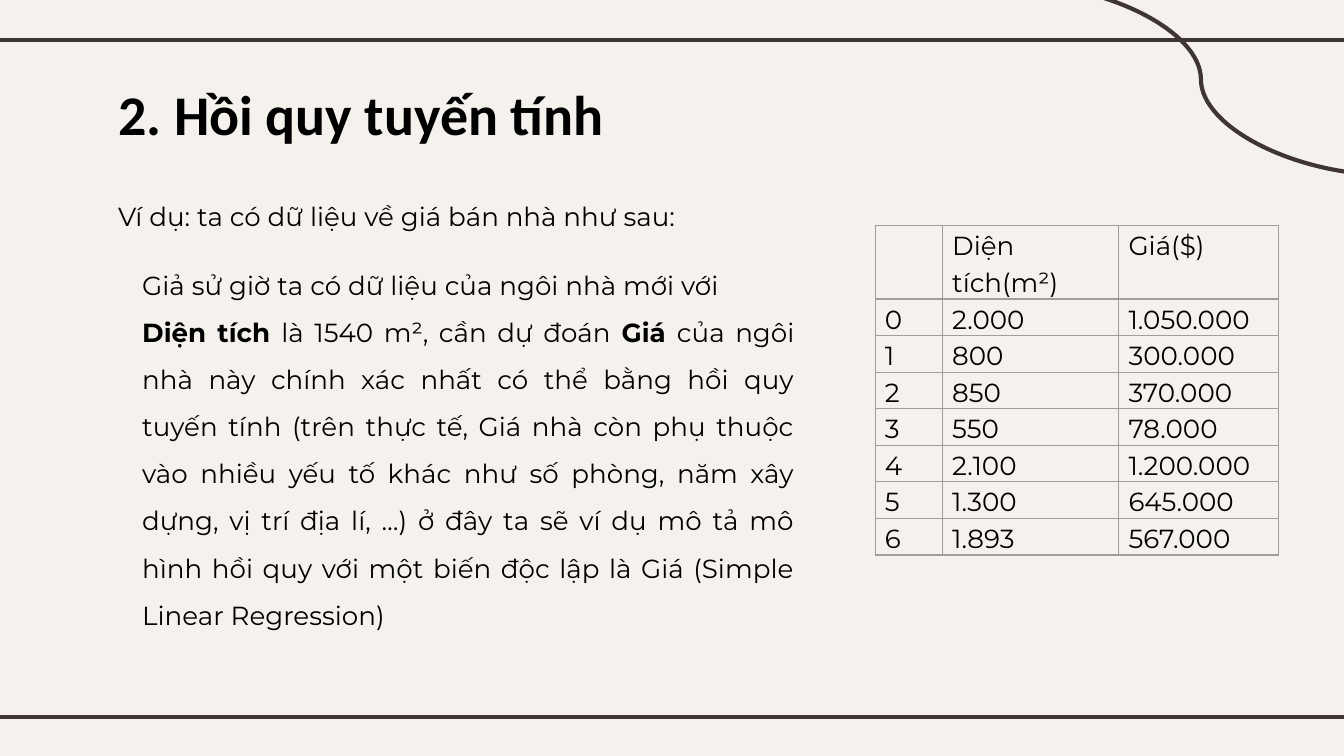
from dataclasses import dataclass
from typing import NamedTuple

from lxml.etree import SubElement
from pptx import Presentation
from pptx.dml.color import RGBColor
from pptx.enum.shapes import MSO_CONNECTOR
from pptx.enum.text import MSO_ANCHOR, PP_ALIGN
from pptx.oxml.ns import qn
from pptx.slide import Slide
from pptx.table import _Cell
from pptx.text.text import TextFrame
from pptx.util import Pt


@dataclass(frozen=True)
class Theme:
    background: str = "F5F2EE"
    ornament: str = "3F3533"
    border: str = "9E9E9E"
    text: str = "000000"
    title_font: str = "Calibri"
    body_font: str = "Montserrat"
    title_size: float = 30
    body_size: float = 14
    ornament_width: float = 2.25
    border_width: float = 0.75


class Run(NamedTuple):
    text: str
    bold: bool = False


class Box(NamedTuple):
    left: float
    top: float
    width: float
    height: float


class Ornament(NamedTuple):
    kind: MSO_CONNECTOR
    start: tuple[float, float]
    end: tuple[float, float]


THEME = Theme()
SLIDE_WIDTH, SLIDE_HEIGHT = 720, 405
ORNAMENTS = [
    Ornament(MSO_CONNECTOR.STRAIGHT, (-6, 21.4), (726, 21.4)),
    Ornament(MSO_CONNECTOR.STRAIGHT, (-6, 384), (726, 384)),
    Ornament(MSO_CONNECTOR.CURVE, (542.2, -8.8), (744.5, 93.8)),
]
TITLE_BOX = Box(56.2, 35.3, 370.8, 45.4)
INTRO_BOX = Box(56.2, 100.1, 607.7, 259.2)
EXAMPLE_BOX = Box(69.1, 128.9, 363.6, 211)
EXAMPLE = [
    [Run("Giả sử giờ ta có dữ liệu của ngôi nhà mới với ")],
    [
        Run("Diện tích ", True),
        Run("là 1540 m², cần dự đoán "),
        Run("Giá ", True),
        Run(
            "của ngôi nhà này chính xác nhất có thể bằng hồi quy tuyến tính "
            "(trên thực tế, Giá nhà còn phụ thuộc vào nhiều yếu tố khác như số phòng, "
            "năm xây dựng, vị trí địa lí, …) ở đây ta sẽ ví dụ mô tả mô hình hồi quy "
            "với một biến độc lập là Giá (Simple Linear Regression)"
        ),
    ],
]

TABLE_LEFT, TABLE_TOP = 468.9, 121
COLUMN_WIDTHS = [36, 94.5, 85.5]
HEADER_HEIGHT, ROW_HEIGHT = 39.2, 19.6
HEADER = ["", "Diện tích(m²)", "Giá($)"]
HOUSES = [
    ("2.000", "1.050.000"),
    ("800", "300.000"),
    ("850", "370.000"),
    ("550", "78.000"),
    ("2.100", "1.200.000"),
    ("1.300", "645.000"),
    ("1.893", "567.000"),
]


def write_text(
    frame: TextFrame,
    paragraphs: list[list[Run]],
    *,
    font: str = THEME.body_font,
    size: float = THEME.body_size,
    alignment: PP_ALIGN = PP_ALIGN.LEFT,
    line_spacing: float = 1.0,
) -> None:
    for index, runs in enumerate(paragraphs):
        paragraph = frame.add_paragraph() if index else frame.paragraphs[0]
        paragraph.alignment = alignment
        paragraph.line_spacing = line_spacing
        paragraph.font.size = Pt(size)
        for text, bold in runs:
            run = paragraph.add_run()
            run.text = text
            run.font.name = font
            run.font.size = Pt(size)
            run.font.bold = bold
            run.font.color.rgb = RGBColor.from_string(THEME.text)


def add_text_box(slide: Slide, box: Box, paragraphs: list[list[Run]], **text_format) -> None:
    frame = slide.shapes.add_textbox(*map(Pt, box)).text_frame
    frame.word_wrap = True
    frame.vertical_anchor = MSO_ANCHOR.TOP
    frame.margin_left = frame.margin_right = Pt(7.2)
    frame.margin_top = frame.margin_bottom = Pt(7.2)
    write_text(frame, paragraphs, **text_format)


def add_ornament(slide: Slide, ornament: Ornament) -> None:
    connector = slide.shapes.add_connector(
        ornament.kind, *map(Pt, ornament.start + ornament.end)
    )
    connector.line.color.rgb = RGBColor.from_string(THEME.ornament)
    connector.line.width = Pt(THEME.ornament_width)
    SubElement(connector._element.spPr, qn("a:effectLst"))


def format_cell(cell: _Cell) -> None:
    """Give the cell thin borders on all sides, tight margins and no fill."""
    cell.margin_left = cell.margin_right = Pt(5.2)
    cell.margin_top = cell.margin_bottom = 0
    cell.vertical_anchor = MSO_ANCHOR.TOP
    properties = cell._tc.get_or_add_tcPr()
    for side in ("lnL", "lnR", "lnT", "lnB"):
        border = SubElement(properties, qn(f"a:{side}"), w=str(Pt(THEME.border_width)))
        fill = SubElement(border, qn("a:solidFill"))
        SubElement(fill, qn("a:srgbClr"), val=THEME.border)
    cell.fill.background()


def add_house_table(slide: Slide) -> None:
    rows = [HEADER] + [[str(index), *house] for index, house in enumerate(HOUSES)]
    heights = [HEADER_HEIGHT] + [ROW_HEIGHT] * len(HOUSES)
    box = Box(TABLE_LEFT, TABLE_TOP, sum(COLUMN_WIDTHS), sum(heights))
    table = slide.shapes.add_table(len(rows), len(HEADER), *map(Pt, box)).table
    table.first_row = table.horz_banding = False
    for column, width in zip(table.columns, COLUMN_WIDTHS):
        column.width = Pt(width)
    for row, height, texts in zip(table.rows, heights, rows):
        row.height = Pt(height)
        for cell, text in zip(row.cells, texts):
            format_cell(cell)
            if text:
                write_text(cell.text_frame, [[Run(text)]], line_spacing=1.15)


def main() -> None:
    presentation = Presentation()
    presentation.slide_width = Pt(SLIDE_WIDTH)
    presentation.slide_height = Pt(SLIDE_HEIGHT)
    slide = presentation.slides.add_slide(presentation.slide_layouts[6])
    slide.background.fill.solid()
    slide.background.fill.fore_color.rgb = RGBColor.from_string(THEME.background)

    for ornament in ORNAMENTS:
        add_ornament(slide, ornament)
    add_text_box(
        slide,
        TITLE_BOX,
        [[Run("2. Hồi quy tuyến tính", True)]],
        font=THEME.title_font,
        size=THEME.title_size,
    )
    add_text_box(slide, INTRO_BOX, [[Run("Ví dụ: ta có dữ liệu về giá bán nhà như sau:")]])
    add_house_table(slide)
    add_text_box(
        slide, EXAMPLE_BOX, EXAMPLE, alignment=PP_ALIGN.JUSTIFY, line_spacing=1.5
    )
    presentation.save("out.pptx")


if __name__ == "__main__":
    main()
